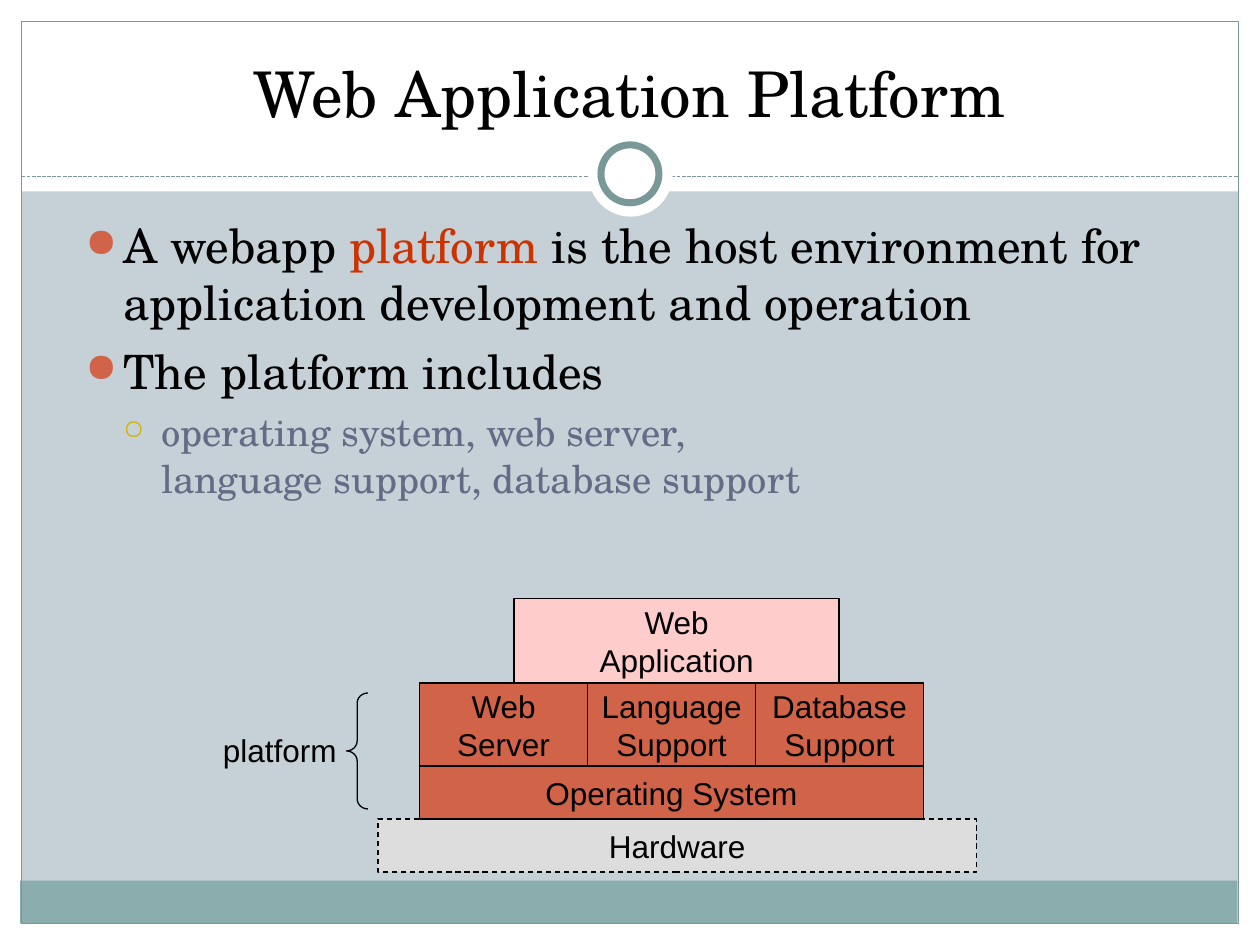
"""Build the Web Application Platform slide."""
from lxml import etree
from pptx import Presentation
from pptx import util as u
from pptx.dml.color import RGBColor
from pptx.enum import dml, shapes, text
from pptx.oxml.ns import qn

BLACK = RGBColor(0x00, 0x00, 0x00)
WHITE = RGBColor(0xFF, 0xFF, 0xFF)
MIST = RGBColor(0xC5, 0xD1, 0xD7)
TEAL = RGBColor(0x8C, 0xAD, 0xAE)
SLATE = RGBColor(0x7B, 0x98, 0x99)
RUST = RGBColor(0xD1, 0x63, 0x49)
RED = RGBColor(0xCC, 0x33, 0x00)
GOLD = RGBColor(0xCC, 0xB4, 0x00)
INDIGO = RGBColor(0x64, 0x6B, 0x86)
GREY = RGBColor(0xDD, 0xDD, 0xDD)
PINK = RGBColor(0xFF, 0xCC, 0xCC)
SERIF, SANS = "TeX Gyre Schola", "Arial"
KIND = shapes.MSO_SHAPE
CENTER = text.PP_ALIGN.CENTER


def set_all(target, **values):
    """Set each named attribute on the target."""
    for name, value in values.items():
        setattr(target, name, value)


def inches(*lengths):
    """Turn plain numbers into lengths."""
    return [u.Inches(length) for length in lengths]


def add_figure(page, kind, at, fill=None, line=None, width=0.75, dash=None):
    """Add a preset shape with an optional fill and outline."""
    figure = page.shapes.add_shape(kind, *inches(*at))
    figure.shadow.inherit = False
    if fill is None:
        figure.fill.background()
    else:
        figure.fill.solid()
        figure.fill.fore_color.rgb = fill
    if line is None:
        figure.line.fill.background()
    else:
        figure.line.color.rgb = line
        set_all(figure.line, width=u.Pt(width), dash_style=dash)
    return figure


def add_span(para, words, size, font, color=BLACK):
    """Add one formatted run to a paragraph."""
    span = para.add_run()
    span.text = words
    set_all(span.font, size=u.Pt(size), name=font)
    span.font.color.rgb = color


def add_layer(page, at, lines, fill=RUST, dash=None):
    """Add one labelled block of the platform stack."""
    block = add_figure(page, KIND.RECTANGLE, at, fill, BLACK, dash=dash)
    frame = block.text_frame
    set_all(frame, word_wrap=False, vertical_anchor=text.MSO_ANCHOR.MIDDLE)
    for index, words in enumerate(lines):
        para = frame.add_paragraph() if index else frame.paragraphs[0]
        para.alignment = CENTER
        add_span(para, words, 18, SANS)


def add_label(page, at, words, size, font, wrap=True, **layout):
    """Add a single line of text and return its paragraph."""
    box = page.shapes.add_textbox(*inches(*at))
    set_all(box.text_frame, word_wrap=wrap, **layout)
    para = box.text_frame.paragraphs[0]
    add_span(para, words, size, font)
    return para


def set_bullet(para, mark, color, percent, level):
    """Give a paragraph a coloured bullet with a hanging indent."""
    props = para._p.get_or_add_pPr()
    props.set("marL", str(u.Inches(0.3 * (level + 1))))
    props.set("indent", str(u.Inches(-0.3)))
    tint = etree.SubElement(props, qn("a:buClr"))
    etree.SubElement(tint, qn("a:srgbClr"), val=str(color))
    etree.SubElement(props, qn("a:buSzPct"), val=str(percent * 1000))
    etree.SubElement(props, qn("a:buChar"), char=mark)


def add_points(page):
    """Add the bulleted text."""
    box = page.shapes.add_textbox(*inches(0.58, 1.67, 9, 4.95))
    frame = box.text_frame
    frame.word_wrap = True
    points = [
        (0, [("A webapp ", BLACK), ("platform", RED),
             (" is the host environment for application development and operation", BLACK)]),
        (0, [("The platform includes", BLACK)]),
        (1, [("operating system, web server,", INDIGO), None,
             ("language support, database support", INDIGO)]),
    ]
    styles = [(27, 6.8, "●", RUST, 85), (22, 5.5, "○", GOLD, 70)]
    for index, (level, spans) in enumerate(points):
        size, gap, mark, color, percent = styles[level]
        para = frame.add_paragraph() if index else frame.paragraphs[0]
        set_all(para, level=level, space_before=u.Pt(gap))
        set_bullet(para, mark, color, percent, level)
        for span in spans:
            if span is None:
                para.add_line_break()
            else:
                add_span(para, span[0], size, SERIF, span[1])


def add_backdrop(page):
    """Add the margins, footer band, frame, divider and ring."""
    page.background.fill.solid()
    page.background.fill.fore_color.rgb = MIST
    margins = [(0, 7.33, 10, 0.17), (0, 0, 10, 1.52),
               (0, 0, 0.17, 7.5), (9.83, 0, 0.17, 7.5)]
    for at in margins:
        add_figure(page, KIND.RECTANGLE, at, WHITE)
    add_figure(page, KIND.RECTANGLE, (0.16, 6.99, 9.66, 0.34), TEAL)
    add_figure(page, KIND.RECTANGLE, (0.17, 0.17, 9.66, 7.16), line=SLATE)
    divider = page.shapes.add_connector(
        shapes.MSO_CONNECTOR.STRAIGHT, *inches(0.17, 1.4, 9.83, 1.4))
    divider.line.color.rgb = SLATE
    set_all(divider.line, width=u.Pt(0.75), dash_style=dml.MSO_LINE.SQUARE_DOT)
    etree.SubElement(divider._element.spPr, qn("a:effectLst"))
    add_figure(page, KIND.OVAL, (4.67, 1.05, 0.67, 0.67), WHITE)
    add_figure(page, KIND.OVAL, (4.77, 1.15, 0.46, 0.46), WHITE, SLATE, 4)


def add_stack(page):
    """Add the layers of the platform and the brace that names them."""
    add_layer(page, (3, 6.5, 4.75, 0.42), ["Hardware"], GREY, dml.MSO_LINE.DASH)
    services = [("Web", "Server"), ("Language", "Support"), ("Database", "Support")]
    width = 4 / len(services)
    for index, lines in enumerate(services):
        add_layer(page, (3.33 + index * width, 5.42, width, 0.67), lines)
    add_layer(page, (3.33, 6.08, 4, 0.42), ["Operating System"])
    add_layer(page, (4.08, 4.75, 2.58, 0.67), ["Web", "Application"], PINK)
    add_label(page, (1.67, 5.75, 1.1, 0.4), "platform", 18, SANS, wrap=False,
              auto_size=text.MSO_AUTO_SIZE.SHAPE_TO_FIT_TEXT)
    brace = add_figure(page, KIND.LEFT_BRACE, (2.75, 5.5, 0.17, 0.92), line=BLACK)
    brace.adjustments[0] = 0.47


def main():
    """Build and save the deck."""
    deck = Presentation()
    set_all(deck, slide_width=u.Inches(10), slide_height=u.Inches(7.5))
    page = deck.slides.add_slide(deck.slide_layouts[6])
    add_backdrop(page)
    title = add_label(page, (0.33, 0.25, 9.33, 0.83), "Web Application Platform",
                      36, SERIF, vertical_anchor=text.MSO_ANCHOR.BOTTOM)
    title.alignment = CENTER
    add_points(page)
    add_stack(page)
    deck.save("out.pptx")


if __name__ == "__main__":
    main()
